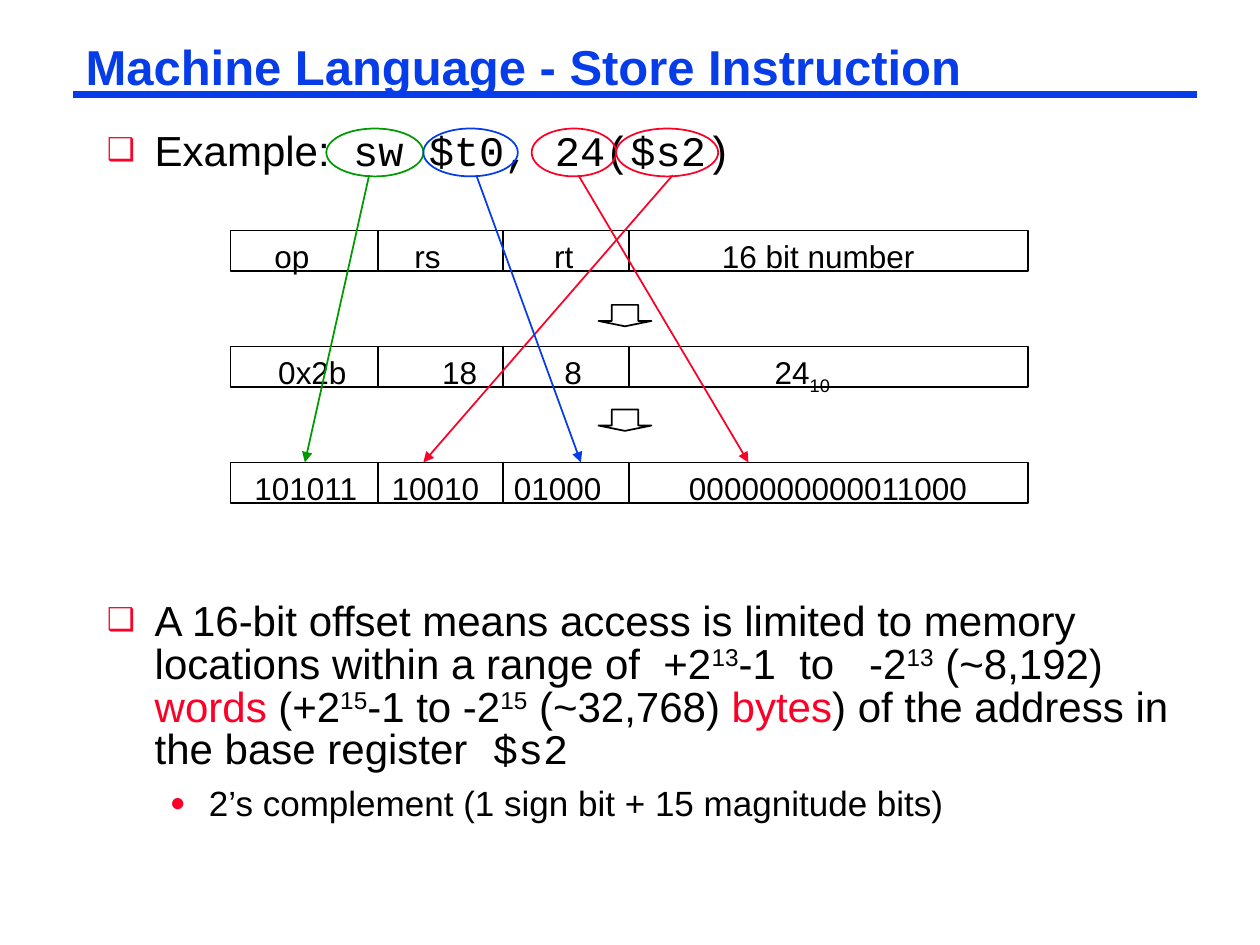
from lxml.etree import SubElement
from pptx import Presentation
from pptx.dml.color import RGBColor
from pptx.enum.shapes import MSO_CONNECTOR, MSO_SHAPE
from pptx.enum.text import MSO_ANCHOR, MSO_AUTO_SIZE, PP_ALIGN
from pptx.oxml.ns import qn
from pptx.util import Inches, Pt

BLACK = RGBColor(0x00, 0x00, 0x00)
BLUE = RGBColor(0x06, 0x3D, 0xE8)
RED = RGBColor(0xFC, 0x01, 0x28)
GREEN = RGBColor(0x00, 0x99, 0x00)
SANS, MONO = "Arial", "Courier New"


class SlideBuilder:
    def __init__(self, slide):
        self.s = slide

    def run(self, p, text, size, color=BLACK, font=SANS, bold=False, base=0):
        r = p.add_run()
        r.text = text
        r.font.name, r.font.size, r.font.bold = font, Pt(size), bold
        r.font.color.rgb = color
        if base:
            r.font._element.set("baseline", str(base * 1000))

    def title(self, text, x, y, w, h):
        sp = self.s.shapes.title
        sp.left, sp.top, sp.width, sp.height = map(Inches, (x, y, w, h))
        tf = sp.text_frame
        tf.auto_size = MSO_AUTO_SIZE.NONE
        tf.vertical_anchor = MSO_ANCHOR.MIDDLE
        p = tf.paragraphs[0]
        p.alignment, p.line_spacing = PP_ALIGN.LEFT, 0.87
        self.run(p, text, 28, BLUE, bold=True)

    def text_box(self, x, y, w, h):
        tf = self.s.shapes.add_textbox(*map(Inches, (x, y, w, h))).text_frame
        tf.word_wrap = True
        return tf

    def bullet(self, p, char, margin, indent, before):
        p.line_spacing, p.space_before = 0.85, Pt(before)
        pPr = p._p.get_or_add_pPr()
        pPr.set("marL", str(Inches(margin)))
        pPr.set("indent", str(Inches(-indent)))
        color = SubElement(pPr, qn("a:buClr"))
        SubElement(color, qn("a:srgbClr"), val=str(RED))
        SubElement(pPr, qn("a:buSzPct"), val="75000")
        SubElement(pPr, qn("a:buFont"), typeface=SANS)
        SubElement(pPr, qn("a:buChar"), char=char)

    def tab_stops(self, p, stops):
        tabs = SubElement(p._p.get_or_add_pPr(), qn("a:tabLst"))
        for stop in stops:
            SubElement(tabs, qn("a:tab"), pos=str(Inches(stop)), algn="l")

    def outline(self, kind, x, y, w, h, color=BLACK):
        sp = self.s.shapes.add_shape(kind, *map(Inches, (x, y, w, h)))
        sp.shadow.inherit = False
        sp.fill.background()
        sp.line.color.rgb, sp.line.width = color, Pt(1)
        return sp

    def line(self, x1, y1, x2, y2, color=BLACK, width=1, arrow=False):
        c = self.s.shapes.add_connector(
            MSO_CONNECTOR.STRAIGHT, *map(Inches, (x1, y1, x2, y2)))
        c.line.color.rgb, c.line.width = color, Pt(width)
        if arrow:
            SubElement(c.line._get_or_add_ln(), qn("a:tailEnd"), type="triangle")
        SubElement(c._element.spPr, qn("a:effectLst"))

    def field_row(self, y, fields, starts, subscript=""):
        left, width, height = 1.83, 6.33, 0.32
        self.outline(MSO_SHAPE.RECTANGLE, left, y, width, height)
        for x in (3, 3.99, 4.99):
            self.line(x, y, x, y + height)
        # Each field starts at its own tab stop
        box_left = starts[0] - 0.1
        p = self.text_box(box_left, y, left + width - box_left, 0.4).paragraphs[0]
        self.tab_stops(p, [x - starts[0] for x in starts[1:]])
        self.run(p, "\t".join(fields), 18)
        if subscript:
            self.run(p, subscript, 18, base=-25)


def main():
    prs = Presentation()
    prs.slide_width, prs.slide_height = Inches(10), Inches(7.5)
    b = SlideBuilder(prs.slides.add_slide(prs.slide_layouts[5]))

    # Title and rule
    b.line(0.58, 0.75, 9.5, 0.75, BLUE, 4.5)
    b.title("Machine Language - Store Instruction", 0.58, 0.33, 8.92, 0.46)

    # Example and explanation; the wide space between them holds the diagram
    tf = b.text_box(0.75, 1, 8.83, 5.87)
    p = tf.paragraphs[0]
    b.bullet(p, "❑", 0.38, 0.38, 0)
    b.run(p, "Example:  ", 24)
    b.run(p, "sw $t0, 24($s2)", 24, font=MONO)

    p = tf.add_paragraph()
    b.bullet(p, "❑", 0.38, 0.38, 244)
    for text, style in (
        ("A 16-bit offset means access is limited to memory "
         "locations within a range of  +2", {}),
        ("13", {"base": 30}),
        ("-1  to   -2", {}),
        ("13", {"base": 30}),
        (" (~8,192) ", {}),
        ("words", {"color": RED}),
        (" (+2", {}),
        ("15", {"base": 30}),
        ("-1 to -2", {}),
        ("15", {"base": 30}),
        (" (~32,768) ", {}),
        ("bytes", {"color": RED}),
        (") of the address in the base register", {}),
        (" $s2", {"font": MONO}),
    ):
        b.run(p, text, 24, **style)

    p = tf.add_paragraph()
    p.level = 1
    b.bullet(p, "●", 0.81, 0.31, 8)
    b.run(p, "2’s complement (1 sign bit + 15 magnitude bits)", 20)

    # Instruction format, decimal fields and binary fields
    b.field_row(1.83, ("op", "rs", "rt", "16 bit number"),
                (2.18, 3.29, 4.4, 5.73))
    b.field_row(2.75, ("0x2b", "18", "8", "24"), (2.21, 3.51, 4.48, 6.15), "10")
    b.field_row(3.67, ("101011", "10010", "01000", "0000000000011000"),
                (2.02, 3.11, 4.08, 5.47))

    # Arrows between the rows
    for y in (2.42, 3.25):
        sp = b.outline(MSO_SHAPE.DOWN_ARROW, 4.75, y, 0.42, 0.17)
        sp.adjustments[0], sp.adjustments[1] = 0.5, 0.25

    # Operand ovals, each pointing to its binary field
    for x, width, start, end, color in (
        (4.89, 0.81, 5.34, 3.36, RED),
        (2.59, 0.77, 2.93, 2.42, GREEN),
        (3.36, 0.75, 3.78, 4.61, BLUE),
        (4.22, 0.67, 4.59, 5.94, RED),
    ):
        b.outline(MSO_SHAPE.OVAL, x, 1.02, width, 0.38, color)
        b.line(start, 1.39, end, 3.67, color, arrow=True)

    prs.save("out.pptx")


if __name__ == "__main__":
    main()
